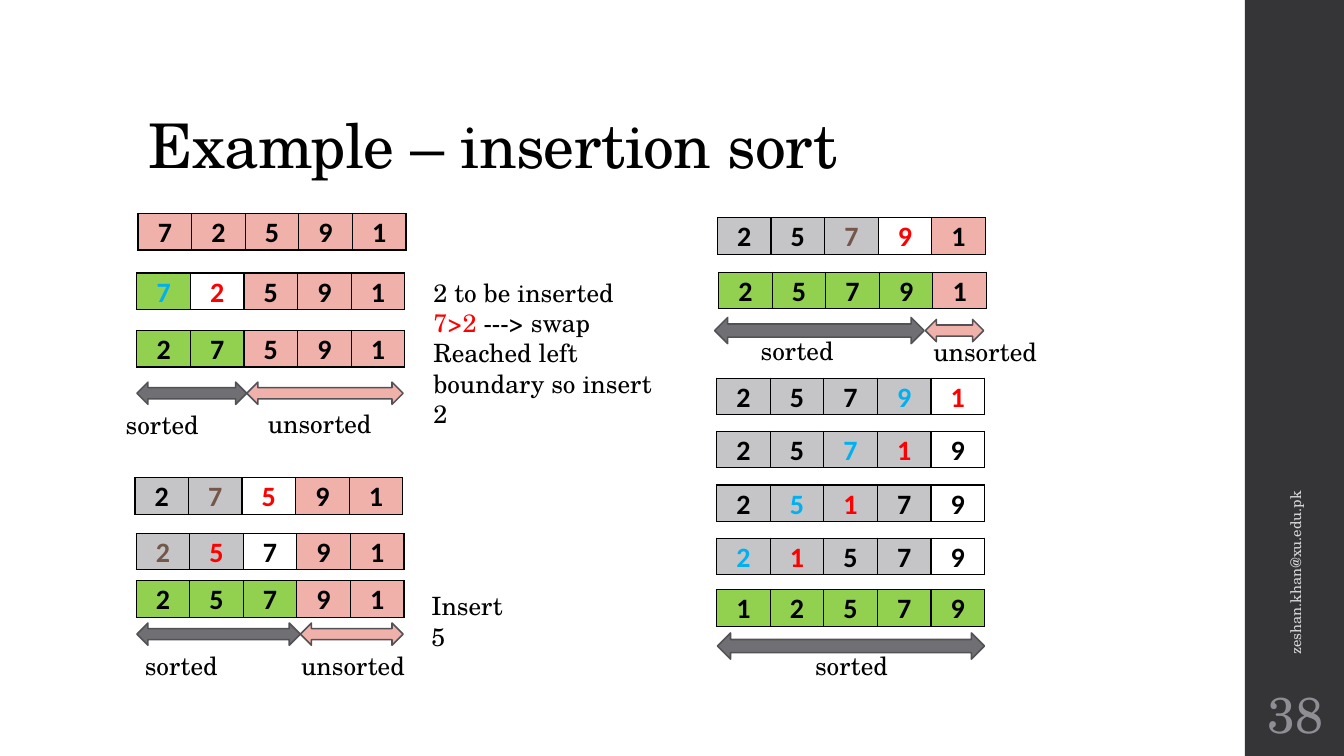
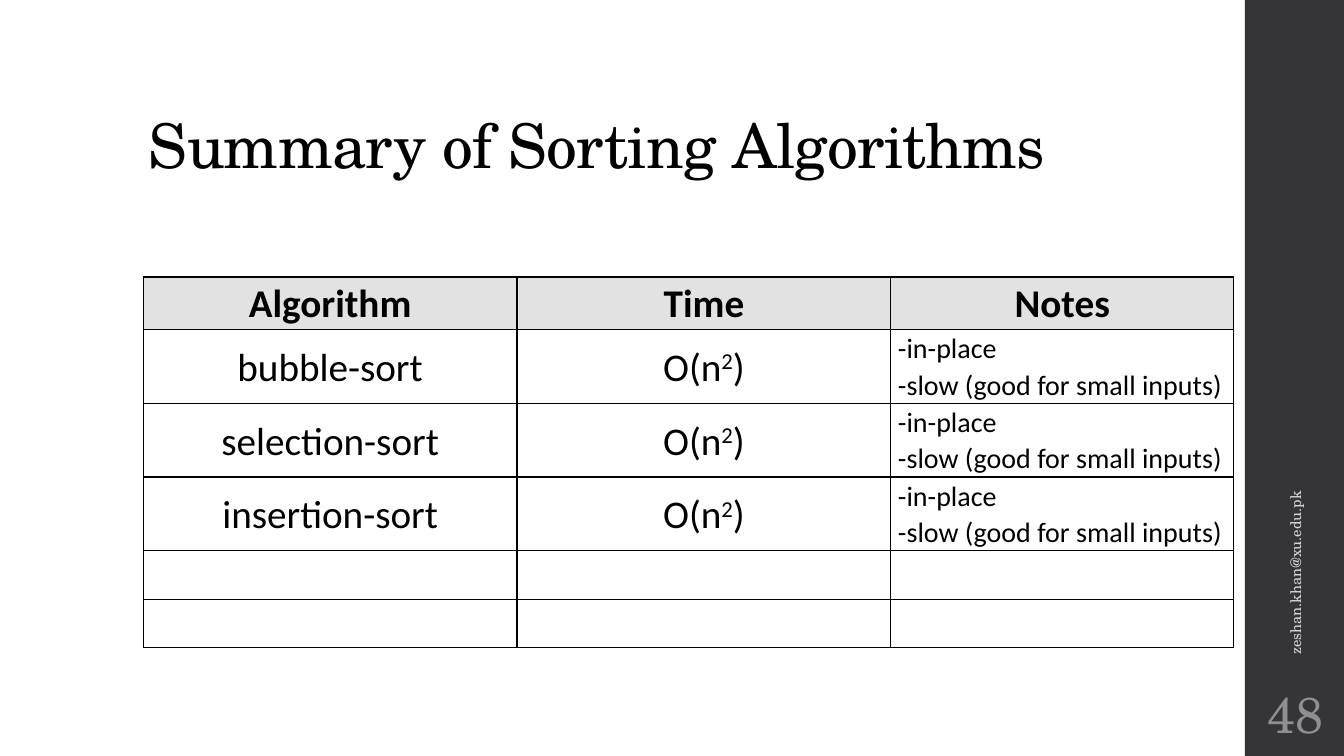
from lxml.etree import SubElement
from pptx import Presentation
from pptx.dml.color import RGBColor
from pptx.enum.shapes import MSO_SHAPE
from pptx.enum.text import MSO_ANCHOR, PP_ALIGN
from pptx.oxml.ns import qn
from pptx.util import Cm, Pt

BLACK = RGBColor(0x00, 0x00, 0x00)
WHITE = RGBColor(0xFF, 0xFF, 0xFF)
BAND = RGBColor(0x35, 0x35, 0x37)
NUMBER = RGBColor(0x8E, 0x8E, 0x94)
EMAIL = RGBColor(0xD9, 0xD9, 0xDB)
PINK = RGBColor(0xF0, 0xB1, 0xAA)
GREEN = RGBColor(0x92, 0xD0, 0x50)
SILVER = RGBColor(0xC5, 0xC5, 0xC8)
HEADER = RGBColor(0xE2, 0xE2, 0xE3)
DARK = RGBColor(0x6F, 0x6F, 0x74)
OUTLINE = RGBColor(0x52, 0x52, 0x56)
RED = RGBColor(0xFF, 0x00, 0x00)
BLUE = RGBColor(0x00, 0xB0, 0xF0)
BROWN = RGBColor(0x74, 0x56, 0x4A)

# One letter per array cell
FILLS = {"p": PINK, "g": GREEN, "s": SILVER, "w": WHITE}
INKS = {"k": BLACK, "r": RED, "b": BLUE, "n": BROWN}

SERIF, SANS = "TeX Gyre Schola", "Calibri"


def write(frame, paragraphs, size=18, font=SERIF, color=BLACK, bold=False,
          align=PP_ALIGN.LEFT, line_spacing=None, spacing=None):
    """Each paragraph is a string or a list of (text, format) spans."""
    for index, content in enumerate(paragraphs):
        para = frame.paragraphs[0] if index == 0 else frame.add_paragraph()
        para.alignment = align
        para.line_spacing = line_spacing
        spans = [(content, {})] if isinstance(content, str) else content
        for text, style in spans:
            span = para.add_run()
            span.text = text
            span.font.name = font
            span.font.size = Pt(size)
            span.font.bold = bold
            span.font.color.rgb = style.get("color", color)
            properties = span._r.get_or_add_rPr()
            if spacing:
                properties.set("spc", str(spacing))
            if "baseline" in style:
                properties.set("baseline", str(style["baseline"]))


class Slides:
    """The shared style and the slide being built."""

    def __init__(self):
        self.deck = Presentation()
        self.deck.slide_width, self.deck.slide_height = Cm(33.87), Cm(19.05)
        self.page = None

    def add_page(self, title, number):
        self.page = self.deck.slides.add_slide(self.deck.slide_layouts[5])
        self.shape(MSO_SHAPE.RECTANGLE, 31.37, 0, 2.5, 19.05, BAND)
        # Title
        heading = self.page.shapes.title
        heading.left, heading.top = Cm(3.5), Cm(1.02)
        heading.width, heading.height = Cm(26.92), Cm(3.68)
        heading.text_frame.vertical_anchor = MSO_ANCHOR.BOTTOM
        write(heading.text_frame, [title], size=44, line_spacing=0.9, spacing=-50)
        # Page number and address on the band
        box = self.text([number], 31.37, 17.15, 2.54, 1.65, inset=0.13,
                        size=36, color=NUMBER, align=PP_ALIGN.CENTER)
        box.text_frame.vertical_anchor = MSO_ANCHOR.MIDDLE
        box = self.text(["zeshan.khan@xu.edu.pk"], 27.66, 11.25, 9.96, 1.02,
                        size=10.5, color=EMAIL)
        box.text_frame.vertical_anchor = MSO_ANCHOR.MIDDLE
        box.rotation = 270

    def shape(self, kind, left, top, width, height, fill, line=None):
        shape = self.page.shapes.add_shape(
            kind, Cm(left), Cm(top), Cm(width), Cm(height))
        shape.shadow.inherit = False
        shape.fill.solid()
        shape.fill.fore_color.rgb = fill
        if line is None:
            shape.line.fill.background()
        else:
            shape.line.color.rgb = line
            shape.line.width = Pt(1.1)
        return shape

    def arrow(self, left, top, width, height, fill):
        return self.shape(MSO_SHAPE.LEFT_RIGHT_ARROW, left, top, width, height,
                          fill, OUTLINE)

    def text(self, paragraphs, left, top, width, height=1.02, inset=None, **style):
        box = self.page.shapes.add_textbox(Cm(left), Cm(top), Cm(width), Cm(height))
        frame = box.text_frame
        frame.word_wrap = True
        if inset is not None:
            frame.margin_left = frame.margin_right = Cm(inset)
            frame.margin_top = frame.margin_bottom = Cm(inset)
        write(frame, paragraphs, **style)
        return box

    def table(self, left, top, widths, heights):
        table = self.page.shapes.add_table(
            len(heights), len(widths), Cm(left), Cm(top),
            Cm(sum(widths)), Cm(sum(heights))).table
        table.first_row = table.horz_banding = False
        for column, width in zip(table.columns, widths):
            column.width = Cm(width)
        for row, height in zip(table.rows, heights):
            row.height = Cm(height)
        return table

    def cell(self, cell, paragraphs, fill=None, **style):
        cell.margin_left = cell.margin_right = Cm(0.18)
        cell.margin_top = cell.margin_bottom = 0
        # Borders precede the fill in the cell properties
        properties = cell._tc.get_or_add_tcPr()
        for side in ("a:lnL", "a:lnR", "a:lnT", "a:lnB"):
            border = SubElement(properties, qn(side), w=str(Pt(1)))
            solid = SubElement(border, qn("a:solidFill"))
            SubElement(solid, qn("a:srgbClr"), val=str(BLACK))
        if fill is None:
            cell.fill.background()
        else:
            cell.fill.solid()
            cell.fill.fore_color.rgb = fill
        write(cell.text_frame, paragraphs, font=SANS, line_spacing=1.07, **style)

    def array(self, left, top, digits, fills, inks):
        table = self.table(left, top, [1.35] * len(digits), [0.92])
        for cell, digit, fill, ink in zip(table.rows[0].cells, digits, fills, inks):
            self.cell(cell, [digit], FILLS[fill], size=20, bold=True,
                      color=INKS[ink], align=PP_ALIGN.CENTER)


def insertion_sort(slides):
    slides.add_page("Example – insertion sort", "38")

    # Array states: left, top, digits, fills, text colours
    for state in (
        (3.48, 5.38, "72591", "ppppp", "kkkkk"),
        (3.45, 6.88, "72591", "gwppp", "brkkk"),
        (3.45, 8.33, "27591", "ggppp", "kkkkk"),
        (3.40, 12.04, "27591", "sswpp", "knrkk"),
        (3.43, 13.44, "25791", "sswpp", "nrkkk"),
        (3.43, 14.63, "25791", "gggpp", "kkkkk"),
        (18.08, 5.49, "25791", "ssswp", "kknrk"),
        (18.11, 6.86, "25791", "ggggp", "kkkkk"),
        (18.06, 9.53, "25791", "ssssw", "kkkbr"),
        (18.06, 10.87, "25719", "ssssw", "kkbrk"),
        (18.06, 12.22, "25179", "ssssw", "kbrkk"),
        (18.06, 13.56, "21579", "ssssw", "brkkk"),
        (18.06, 14.86, "12579", "ggggg", "kkkkk"),
    ):
        slides.array(*state)

    # Extents of the sorted and unsorted parts
    for extent in (
        (3.45, 9.63, 2.77, 0.56, DARK),
        (6.22, 9.63, 3.94, 0.56, PINK),
        (3.45, 15.7, 4.12, 0.56, DARK),
        (7.57, 15.7, 2.59, 0.56, PINK),
        (18.01, 8, 5.28, 0.66, DARK),
        (23.32, 8.05, 1.47, 0.56, PINK),
        (18.08, 15.95, 6.73, 0.66, DARK),
    ):
        slides.arrow(*extent)
    for label, left, top, width in (
        ("sorted", 2.92, 10.19, 2.84),
        ("unsorted", 6.5, 10.16, 3.63),
        ("sorted", 3.4, 16.26, 3.15),
        ("unsorted", 7.34, 16.26, 3.63),
        ("sorted", 18.92, 8.33, 2.79),
        ("unsorted", 23.27, 8.36, 3.66),
        ("sorted", 20.29, 16.26, 3),
    ):
        slides.text([label], left, top, width)

    # Explanations
    slides.text(["2 to be inserted",
                 [("7>2", {"color": RED}), (" ---> swap", {})],
                 "Reached left boundary so insert 2"], 10.67, 6.86, 6.02, 3.33)
    slides.text(["Insert 5"], 10.62, 14.76, 2.67, 1.63)


def summary(slides):
    slides.add_page("Summary of Sorting Algorithms", "48")
    table = slides.table(3.61, 6.98, [9.42, 9.42, 8.64],
                         [1.32, 1.86, 1.86, 1.86, 1.22, 1.22])
    rows = list(table.rows)

    # Header
    for cell, heading in zip(rows[0].cells, ("Algorithm", "Time", "Notes")):
        slides.cell(cell, [heading], HEADER, size=28, bold=True,
                    align=PP_ALIGN.CENTER)

    # Algorithms
    quadratic = [("O(n", {}), ("2", {"baseline": 30000}), (")", {})]
    for row, name in zip(rows[1:4], ("bubble-sort", "selection-sort", "insertion-sort")):
        algorithm, time, notes = row.cells
        for cell, content in ((algorithm, name), (time, quadratic)):
            slides.cell(cell, [content], size=28, align=PP_ALIGN.CENTER)
            cell.vertical_anchor = MSO_ANCHOR.MIDDLE
        slides.cell(notes, ["-in-place", "-slow (good for small inputs)"], size=20)

    # Empty rows
    for row in rows[4:]:
        for cell in row.cells:
            slides.cell(cell, [])


def main():
    slides = Slides()
    insertion_sort(slides)
    summary(slides)
    slides.deck.save("out.pptx")


if __name__ == "__main__":
    main()
